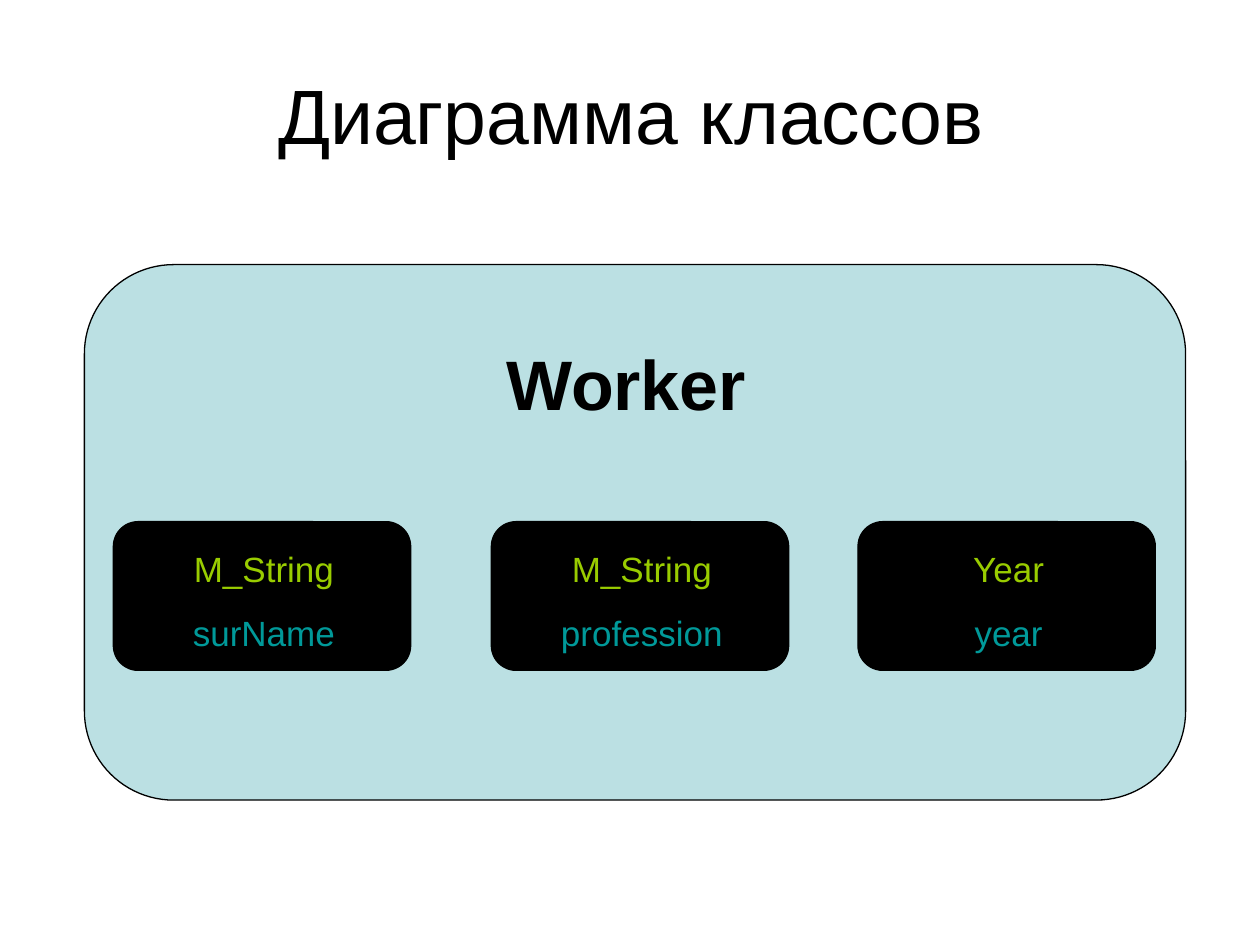
import pptx
import pptx.dml.color
import pptx.enum.shapes
import pptx.enum.text
import pptx.util

Inches, Pt = pptx.util.Inches, pptx.util.Pt
RGB = pptx.dml.color.RGBColor.from_string
ANCHOR = pptx.enum.text.MSO_ANCHOR

COLORS = {"ink": "000000", "panel": "BBE0E3", "type": "99CC00", "name": "009999"}
FIELDS = [  # left edge, type, name
    (0.9, "M_String", "surName"),
    (3.9, "M_String", "profession"),
    (6.81, "Year", "year"),
]
FIELD_TOP, FIELD_WIDTH, FIELD_HEIGHT = 4.14, 2.36, 1.18
LABEL_INSET = 0.16

deck = pptx.Presentation()
deck.slide_width, deck.slide_height = Inches(10), Inches(7.5)
page = deck.slides.add_slide(deck.slide_layouts[6])


def add_rounded(left, top, width, height, fill):
    box = page.shapes.add_shape(
        pptx.enum.shapes.MSO_SHAPE.ROUNDED_RECTANGLE,
        *map(Inches, (left, top, width, height)))
    box.shadow.inherit = False
    box.fill.solid()
    box.fill.fore_color.rgb = RGB(COLORS[fill])
    box.line.color.rgb = RGB(COLORS["ink"])
    box.line.width = Pt(0.75)


def add_label(left, top, width, height, lines, size, bold=False, anchor=ANCHOR.TOP):
    """Add centred text; lines holds (text, colour name) pairs, one a paragraph."""
    box = page.shapes.add_textbox(*map(Inches, (left, top, width, height)))
    frame = box.text_frame
    frame.word_wrap = True
    frame.vertical_anchor = anchor
    for index, (text, color) in enumerate(lines):
        para = frame.add_paragraph() if index else frame.paragraphs[0]
        para.alignment = pptx.enum.text.PP_ALIGN.CENTER
        if index:
            para.space_before = Pt(12.5)
        span = para.add_run()
        span.text = text
        for key, value in {"name": "Arial", "size": Pt(size), "bold": bold}.items():
            setattr(span.font, key, value)
        span.font.color.rgb = RGB(COLORS[color])


add_label(0.51, 0.28, 9, 1.25, [("Диаграмма классов", "ink")], 44, anchor=ANCHOR.MIDDLE)

add_rounded(0.67, 2.1, 8.74, 4.25, "panel")
add_label(3.74, 2.65, 2.46, 0.77, [("Worker", "ink")], 40, bold=True)

for left, type_name, field_name in FIELDS:
    add_rounded(left, FIELD_TOP, FIELD_WIDTH, FIELD_HEIGHT, "ink")
    add_label(left + LABEL_INSET, FIELD_TOP + LABEL_INSET, 2.07, 0.94,
              [(type_name, "type"), (field_name, "name")], 20)

deck.save("out.pptx")
